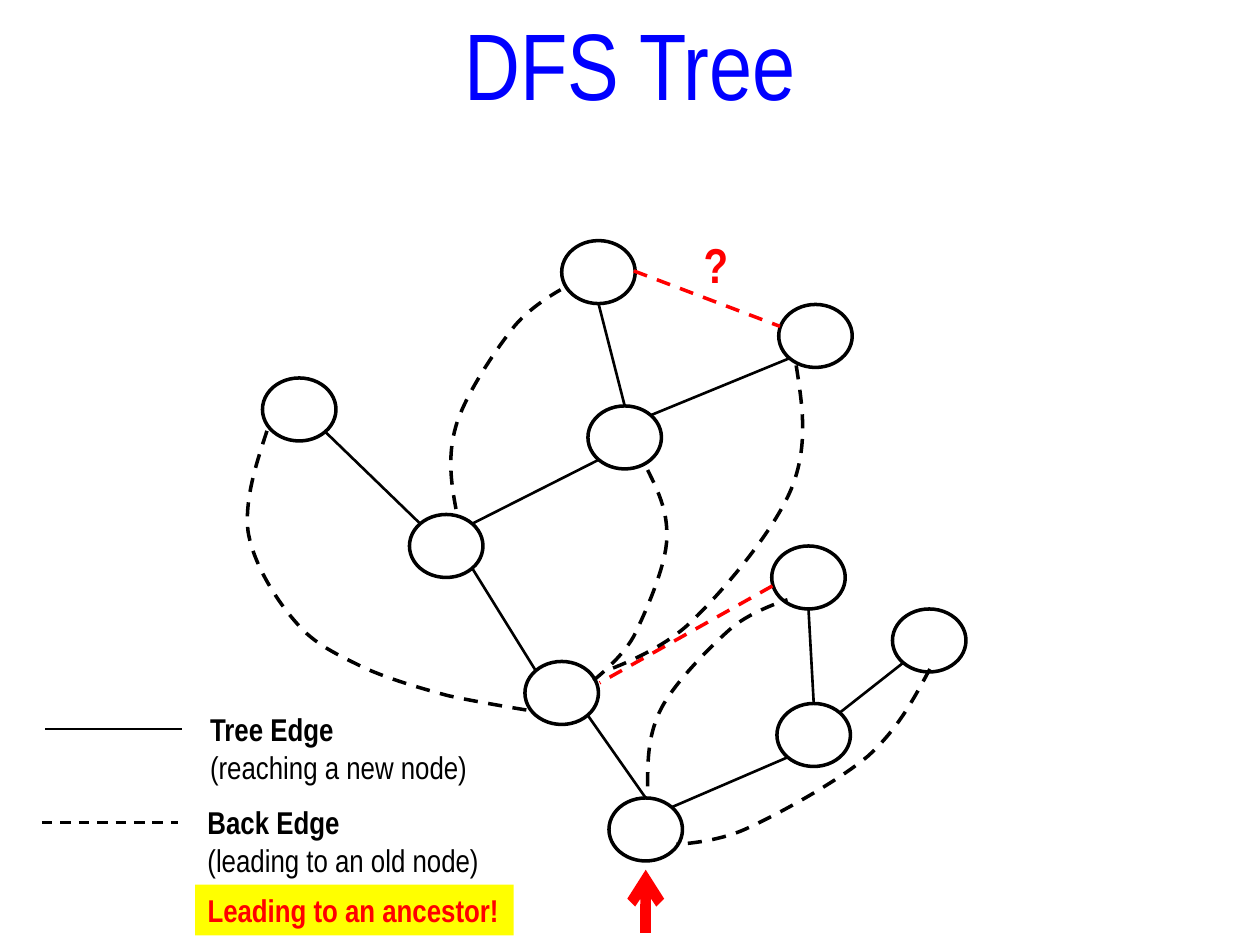
from math import sqrt

from lxml.etree import SubElement
from pptx import Presentation
from pptx.dml.color import RGBColor
from pptx.enum.dml import MSO_LINE
from pptx.enum.shapes import MSO_CONNECTOR, MSO_SHAPE
from pptx.enum.text import MSO_ANCHOR, MSO_AUTO_SIZE, PP_ALIGN
from pptx.oxml.ns import qn
from pptx.util import Pt

BLACK, RED, BLUE, YELLOW = "000000", "FF0000", "0000FF", "FFFF00"
NODE_W, NODE_H = 42, 36
DIAGONAL = 1 / sqrt(2)
# Unit offsets from a node's centre to the places where edges meet its outline
SITES = {
    "top": (0, -1), "bottom": (0, 1),
    "top left": (-DIAGONAL, -DIAGONAL), "top right": (DIAGONAL, -DIAGONAL),
    "bottom left": (-DIAGONAL, DIAGONAL), "bottom right": (DIAGONAL, DIAGONAL),
}

# Left and top of each node
NODES = {
    "root": (348, 456), "fork": (300, 378), "left branch": (234, 294),
    "left leaf": (150, 216), "middle": (336, 232), "middle right": (445, 174),
    "middle top": (321, 137.5), "right branch": (444, 402),
    "right leaf": (510, 348), "right top": (441, 312),
}

TREE_EDGES = [
    ("left leaf", "bottom right", "left branch", "top left"),
    ("left branch", "bottom right", "fork", "top left"),
    ("fork", "bottom right", "root", "top"),
    ("left branch", "top right", "middle", "bottom left"),
    ("middle top", "bottom", "middle", "top"),
    ("middle", "top right", "middle right", "bottom left"),
    ("root", "top right", "right branch", "bottom left"),
    ("right branch", "top", "right top", "bottom"),
    ("right branch", "top right", "right leaf", "bottom left"),
]

# Start, then Bezier points; the last control point coincides with the end
BACK_EDGES = [
    [(152.6, 246.2), (146.2, 265.7), (139.7, 285.8), (141.8, 303.8),
     (144.7, 321.8), (157.7, 342.7), (169.2, 355.7),
     (180, 368.6), (193.7, 374.4), (208.1, 381.6),
     (222.5, 388.1), (239.8, 393.1), (255.6, 397.4), (271.4, 401), (303.1, 406.1)],
    [(370.1, 268.6), (376.6, 281.5), (382.3, 293.8), (380.9, 310.3),
     (379.4, 326.2), (368.6, 350.6), (362.2, 363.6), (355, 376.6), (339.1, 388.8)],
    [(260.6, 290.9), (257.8, 275.8), (255.6, 260.6), (260.6, 243.4),
     (265.7, 226.1), (282.2, 201.6), (292.3, 188.6), (301.7, 175.7), (320.4, 165.6)],
    [(455, 208.8), (458.6, 231.8), (462.2, 254.9), (452.2, 279.4),
     (442.1, 303.8), (413.3, 337.7), (395.3, 355), (378, 372.2), (347, 383)],
    [(531.4, 382.3), (522, 399.6), (513.4, 416.2), (496.1, 432),
     (478.8, 446.4), (446.4, 464.4), (427.7, 473), (409.7, 481.7), (386.6, 482.4)],
    [(370.1, 449.3), (370.1, 434.9), (370.1, 419.8), (378, 404.6),
     (385.9, 389.5), (406.8, 368.6), (418.3, 358.6), (430.6, 348.5), (450, 342.7)],
]
IMPOSSIBLE_EDGES = [((362.2, 154.8), (445.7, 186.5)), ((441.4, 334.8), (342.7, 390.2))]


def rgb(value):
    return RGBColor.from_string(value)


def add_text(paragraph, text, *, size=18, color=BLACK, bold=False, align=PP_ALIGN.LEFT):
    paragraph.alignment = align
    run = paragraph.add_run()
    run.text = text
    font = run.font
    font.name, font.size, font.bold = "Arial Narrow", Pt(size), bold
    font.color.rgb = rgb(color)


def site(node, side):
    """Point on the outline of a node."""
    left, top = NODES[node]
    dx, dy = SITES[side]
    return left + NODE_W / 2 * (1 + dx), top + NODE_H / 2 * (1 + dy)


class TreeSlide:
    """Holds the slide and draws its elements in one style."""

    def __init__(self, slide):
        self.slide = slide
        self.shapes = slide.shapes

    def style_line(self, line, color, width, dashed):
        line.color.rgb = rgb(color)
        line.width = Pt(width)
        if dashed:
            line.dash_style = MSO_LINE.DASH

    def title(self, text, left, top, width, height):
        title = self.shapes.title
        title.left, title.top, title.width, title.height = map(Pt, (left, top, width, height))
        title.text_frame.auto_size = MSO_AUTO_SIZE.NONE
        title.text_frame.vertical_anchor = MSO_ANCHOR.TOP
        add_text(title.text_frame.paragraphs[0], text, size=54, color=BLUE,
                 align=PP_ALIGN.CENTER)

    def node(self, left, top):
        node = self.shapes.add_shape(MSO_SHAPE.OVAL, *map(Pt, (left, top, NODE_W, NODE_H)))
        node.shadow.inherit = False
        node.fill.background()
        self.style_line(node.line, BLACK, 2, False)

    def line(self, start, end, color=BLACK, width=1.5, dashed=False, arrow=False):
        edge = self.shapes.add_connector(MSO_CONNECTOR.STRAIGHT, *map(Pt, start + end))
        self.style_line(edge.line, color, width, dashed)
        if arrow:
            SubElement(edge.line._get_or_add_ln(), qn("a:headEnd"), type="arrow")
        SubElement(edge._element.spPr, qn("a:effectLst"))

    def curve(self, points):
        """Dashed Bezier curve: every three points after the start form one segment."""
        points = [(Pt(x), Pt(y)) for x, y in points + points[-1:]]
        builder = self.shapes.build_freeform(*points[0])
        builder.add_line_segments(points[1:], close=False)
        curve = builder.convert_to_shape()
        outline = next(curve._element.iter(qn("a:path")))
        steps = outline.findall(qn("a:lnTo"))
        for first in range(0, len(steps), 3):
            bezier = SubElement(outline, qn("a:cubicBezTo"))
            for step in steps[first:first + 3]:
                bezier.append(step[0])
                outline.remove(step)
        curve.shadow.inherit = False
        curve.fill.background()
        self.style_line(curve.line, BLACK, 2, True)

    def text(self, left, top, width, height, *lines, fill=None):
        """Text box whose lines are (text, format) pairs."""
        box = self.shapes.add_textbox(*map(Pt, (left, top, width, height)))
        if fill:
            box.fill.solid()
            box.fill.fore_color.rgb = rgb(fill)
        frame = box.text_frame
        frame.word_wrap = True
        for index, (text, style) in enumerate(lines):
            paragraph = frame.add_paragraph() if index else frame.paragraphs[0]
            add_text(paragraph, text, **style)

    def legend(self, top, line_left, text_left, name, meaning, dashed):
        middle = top + 14.5
        self.line((line_left, middle), (line_left + 78, middle), dashed=dashed)
        self.text(text_left, top, 202, 51, (name, {"bold": True}), (meaning, {}))


def main():
    presentation = Presentation()
    presentation.slide_width, presentation.slide_height = Pt(720), Pt(540)
    tree = TreeSlide(presentation.slides.add_slide(presentation.slide_layouts[5]))

    tree.title("DFS Tree", 183, 0, 354, 73)
    for left, top in NODES.values():
        tree.node(left, top)
    for start, start_side, end, end_side in TREE_EDGES:
        tree.line(site(start, start_side), site(end, end_side))
    for start, end in IMPOSSIBLE_EDGES:
        tree.line(start, end, color=RED, width=2, dashed=True)
    for points in BACK_EDGES:
        tree.curve(points)

    tree.legend(402, 26, 113, "Tree Edge", "(reaching a new node)", False)
    tree.legend(455.5, 24, 111.5, "Back Edge", "(leading to an old node)", True)
    emphasis = {"color": RED, "bold": True}
    tree.text(111.5, 505.5, 182, 29, ("Leading to an ancestor!", emphasis), fill=YELLOW)
    tree.text(395, 130.5, 33, 41, ("?", {"size": 28, **emphasis}))
    tree.line((369, 497), (369, 533), color=RED, width=6, arrow=True)

    presentation.save("out.pptx")


if __name__ == "__main__":
    main()
